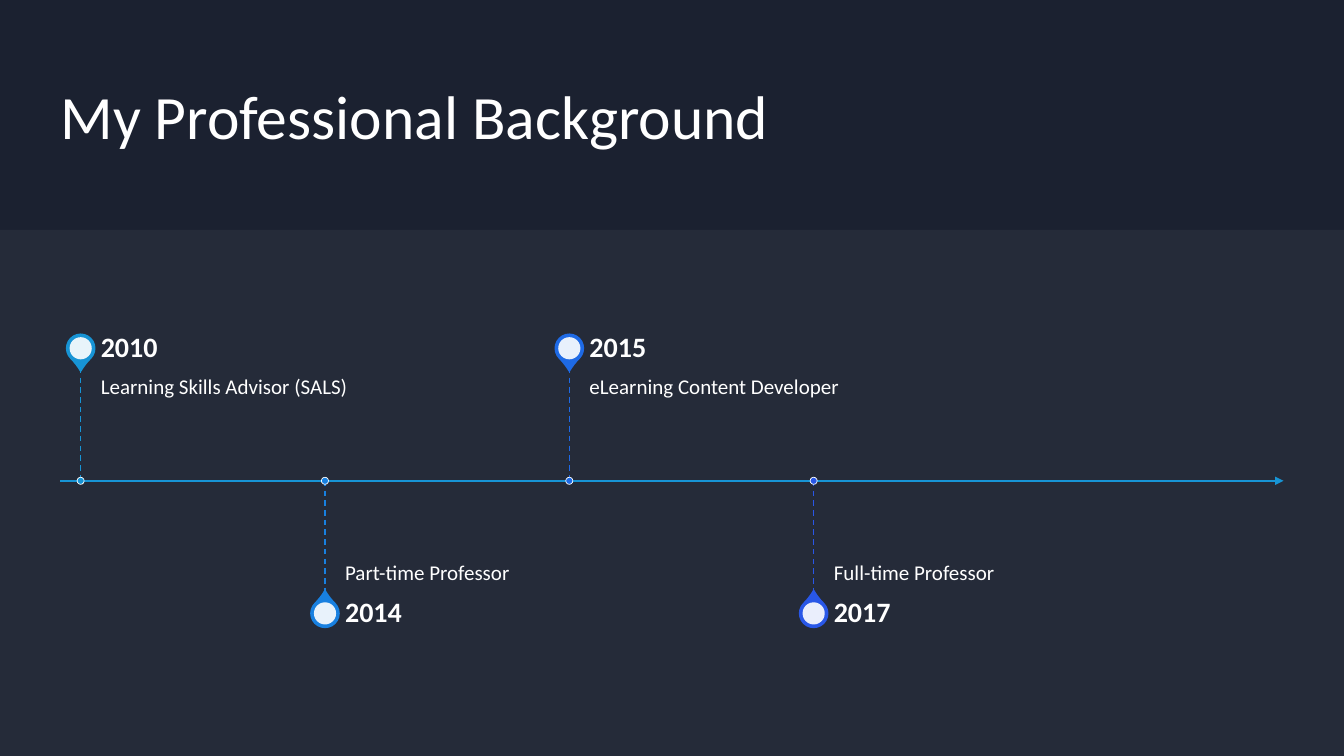
import pptx
import pptx.dml.color
import pptx.enum.dml
import pptx.enum.shapes
import pptx.enum.text
import pptx.oxml.ns
import pptx.util
from lxml import etree

Inches, Pt = pptx.util.Inches, pptx.util.Pt
RGBColor = pptx.dml.color.RGBColor
SHAPE = pptx.enum.shapes.MSO_SHAPE
ANCHOR = pptx.enum.text.MSO_ANCHOR
DASH = pptx.enum.dml.MSO_LINE.DASH
qn = pptx.oxml.ns.qn

NAVY = RGBColor(0x1B, 0x21, 0x30)
MIST = RGBColor(0xE3, 0xE7, 0xEF)
WHITE = RGBColor(0xFF, 0xFF, 0xFF)
CYAN = RGBColor(0x17, 0x94, 0xD5)
AZURE = RGBColor(0x18, 0x80, 0xE0)
BLUE = RGBColor(0x1E, 0x6A, 0xE6)
INDIGO = RGBColor(0x29, 0x57, 0xE7)

SLIDE_W, SLIDE_H = 13.33, 7.5
AXIS_Y = 4.77
FIRST_X, LAST_X = 0.8, 8.07
STEM = 1.12
YEAR_H = 0.39
TEXT_W = 4.03
TEXT_GAP = 0.2

MILESTONES = [
    ("2010", "Learning Skills Advisor (SALS)", CYAN),
    ("2014", "Part-time Professor", AZURE),
    ("2015", "eLearning Content Developer", BLUE),
    ("2017", "Full-time Professor", INDIGO),
]


class Deck:
    FONT = "Calibri"

    def __init__(self):
        self.prs = pptx.Presentation()
        self.prs.slide_width = Inches(SLIDE_W)
        self.prs.slide_height = Inches(SLIDE_H)
        self.s = self.prs.slides.add_slide(self.prs.slide_layouts[6])
        fill = self.s.background.fill
        fill.solid()
        fill.fore_color.rgb = NAVY

    def shape(self, kind, x, y, w, h, color, alpha=None, line=None, width=1):
        """Add a filled preset shape; alpha is the opacity in percent."""
        sp = self.s.shapes.add_shape(kind, Inches(x), Inches(y), Inches(w), Inches(h))
        sp.shadow.inherit = False
        sp.fill.solid()
        sp.fill.fore_color.rgb = color
        if alpha is not None:
            clr = sp.fill._xPr.find(".//" + qn("a:srgbClr"))
            etree.SubElement(clr, qn("a:alpha")).set("val", str(alpha * 1000))
        if line is None:
            sp.line.fill.background()
        else:
            sp.line.color.rgb = line
            sp.line.width = Pt(width)
        return sp

    def circle(self, cx, cy, d, color, **style):
        return self.shape(SHAPE.OVAL, cx - d / 2, cy - d / 2, d, d, color, **style)

    def text(self, x, y, w, h, text, size, bold=False, anchor=ANCHOR.MIDDLE,
             insets=(0, 0, 0, 0), spacing=0.9):
        """Add a one-paragraph text box; insets run left, top, right, bottom."""
        tf = self.s.shapes.add_textbox(Inches(x), Inches(y), Inches(w), Inches(h)).text_frame
        left, top, right, bottom = map(Inches, insets)
        frame = {"word_wrap": True, "vertical_anchor": anchor, "margin_left": left,
                 "margin_top": top, "margin_right": right, "margin_bottom": bottom}
        for name, value in frame.items():
            setattr(tf, name, value)
        p = tf.paragraphs[0]
        p.line_spacing = spacing
        r = p.add_run()
        r.text = text
        for name, value in {"name": self.FONT, "size": Pt(size), "bold": bold}.items():
            setattr(r.font, name, value)
        r.font.color.rgb = WHITE

    def line(self, x1, y1, x2, y2, color, width, dash=None, arrow=False):
        c = self.s.shapes.add_connector(
            pptx.enum.shapes.MSO_CONNECTOR.STRAIGHT,
            Inches(x1), Inches(y1), Inches(x2), Inches(y2))
        c.line.color.rgb = color
        c.line.width = Pt(width)
        if dash is not None:
            c.line.dash_style = dash
        if arrow:
            etree.SubElement(c.line._ln, qn("a:tailEnd")).set("type", "triangle")
        etree.SubElement(c._element.spPr, qn("a:effectLst"))

    def pin(self, cx, cy, rotation, color):
        drop = self.shape(SHAPE.TEAR, cx - 0.14, cy - 0.14, 0.28, 0.28, color, line=color)
        drop.adjustments[0] = 1.15
        drop.rotation = rotation
        self.circle(cx, cy, 0.22, WHITE, alpha=90)

    def milestone(self, x, year, role, color, above):
        """Add pin, texts, stem and axis dot, above or below the axis."""
        if above:
            tip = AXIS_Y - STEM
            year_y, role_y, rotation = tip - YEAR_H, tip, 135
            anchor, insets = ANCHOR.TOP, (0, 0.1, 0.1, 0.16)
        else:
            tip = AXIS_Y + STEM
            year_y, role_y, rotation = tip, AXIS_Y, 315
            anchor, insets = ANCHOR.BOTTOM, (0, 0.16, 0, 0.1)
        self.pin(x, year_y + YEAR_H / 2, rotation, color)
        self.text(x + TEXT_GAP, role_y, TEXT_W, STEM, role, 15, anchor=anchor, insets=insets)
        self.text(x + TEXT_GAP, year_y, TEXT_W, YEAR_H, year, 20, bold=True,
                  insets=(0, 0, 0.14, 0))
        self.line(x, min(tip, AXIS_Y), x, max(tip, AXIS_Y), color, 1, dash=DASH)
        self.circle(x, AXIS_Y, 0.07, color, line=WHITE, width=0.5)


def main():
    deck = Deck()
    deck.shape(SHAPE.RECTANGLE, 0, 0, SLIDE_W, SLIDE_H, NAVY)
    deck.text(0.6, 0.6, 7.99, 1.08, "My Professional Background", 44, spacing=1.0)
    deck.shape(SHAPE.RECTANGLE, 0, 2.28, SLIDE_W, SLIDE_H - 2.28, MIST, alpha=5)
    deck.line(0.6, AXIS_Y, 12.73, AXIS_Y, CYAN, 1.5, arrow=True)
    step = (LAST_X - FIRST_X) / (len(MILESTONES) - 1)
    for i, (year, role, color) in enumerate(MILESTONES):
        deck.milestone(FIRST_X + i * step, year, role, color, above=i % 2 == 0)
    deck.prs.save("out.pptx")


if __name__ == "__main__":
    main()
